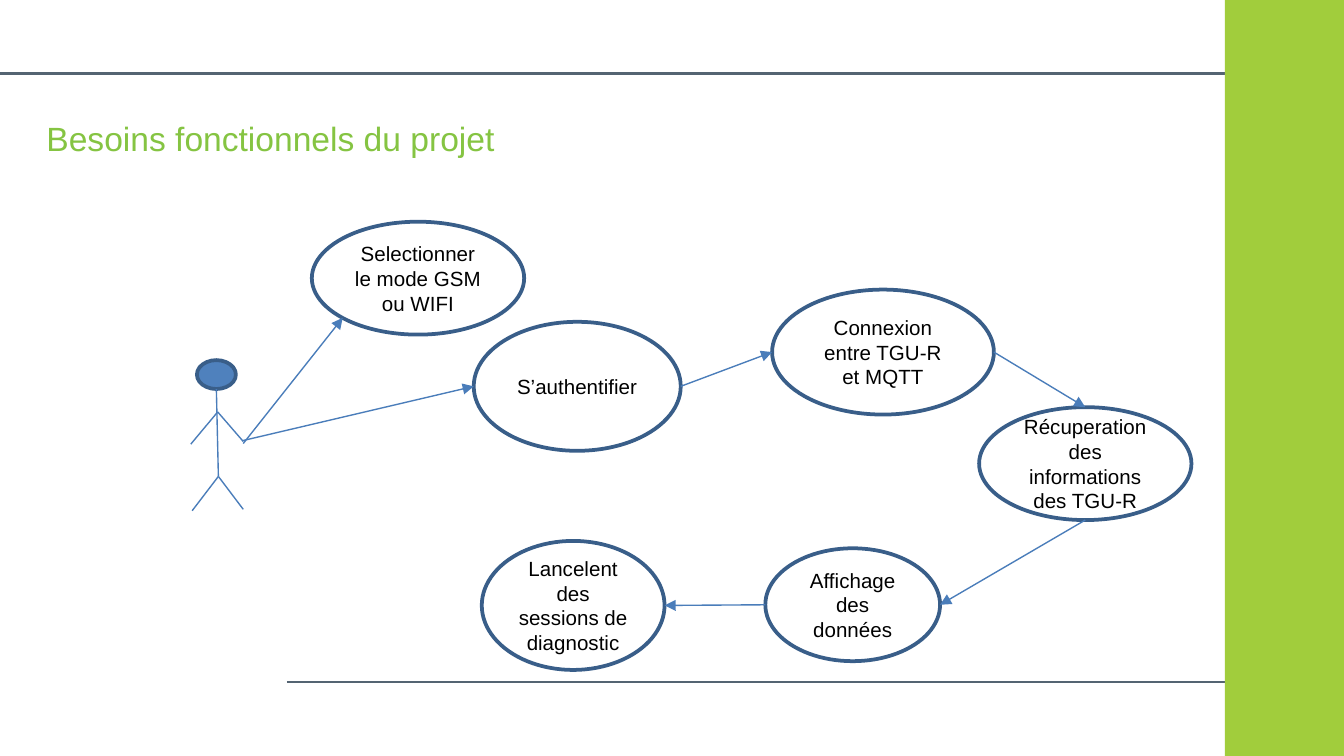
from dataclasses import dataclass
from math import sqrt
from typing import NamedTuple

from lxml.etree import SubElement
from pptx import Presentation
from pptx.dml.color import RGBColor
from pptx.enum.shapes import MSO_CONNECTOR as Connector
from pptx.enum.shapes import MSO_SHAPE as Preset
from pptx.enum.text import MSO_ANCHOR as Anchor
from pptx.enum.text import MSO_AUTO_SIZE as AutoSize
from pptx.enum.text import PP_ALIGN as Align
from pptx.oxml.ns import qn
from pptx.util import Pt

EMU_PER_PX = 4572  # 200 px to the inch
SLIDE_WIDTH, SLIDE_HEIGHT = 2000, 1125
BAND_LEFT = 1823


@dataclass(frozen=True)
class Theme:
    font: str = "Arial"
    title_size: float = 18
    label_size: float = 11
    rule_width: float = 1.5
    outline_width: float = 2
    arrow_width: float = 0.75
    title: str = "85C442"
    text: str = "000000"
    band: str = "A1CD3C"
    rule: str = "546472"
    outline: str = "395E89"
    arrow: str = "4A7DBA"
    head: str = "4F81BD"
    paper: str = "FFFFFF"


THEME = Theme()


class Point(NamedTuple):
    x: int
    y: int


@dataclass(frozen=True)
class UseCase:
    label: str
    left: int
    top: int
    width: int
    height: int
    inset: Point = Point(14, 8)

    def at(self, across: float, down: float) -> Point:
        """Point at -1..1 of the half axes from the centre."""
        return Point(
            round(self.left + self.width * (1 + across) / 2),
            round(self.top + self.height * (1 + down) / 2),
        )


def px(length: int) -> int:
    return length * EMU_PER_PX


def rgb(color: str) -> RGBColor:
    return RGBColor.from_string(color)


def write(shape, text: str, size: float, color: str, align: Align,
          anchor: Anchor, inset: Point) -> None:
    frame = shape.text_frame
    frame.word_wrap = True
    frame.auto_size = AutoSize.NONE
    frame.vertical_anchor = anchor
    frame.margin_left = frame.margin_right = px(inset.x)
    frame.margin_top = frame.margin_bottom = px(inset.y)
    paragraph = frame.paragraphs[0]
    paragraph.text = text
    paragraph.alignment = align
    paragraph.font.name = THEME.font
    paragraph.font.size = Pt(size)
    paragraph.font.color.rgb = rgb(color)


def draw_line(shapes, start: Point, end: Point, color: str = THEME.arrow,
              width: float = THEME.arrow_width, arrow: bool = False) -> None:
    connector = shapes.add_connector(
        Connector.STRAIGHT, *(px(value) for value in (*start, *end)))
    connector.line.color.rgb = rgb(color)
    connector.line.width = Pt(width)
    if arrow:
        SubElement(connector.line._get_or_add_ln(), qn("a:tailEnd"), type="triangle")
    SubElement(connector._element.spPr, qn("a:effectLst"))


def draw_shape(shapes, preset: Preset, left: int, top: int, width: int,
               height: int, fill: str, outline: str | None = None):
    shape = shapes.add_shape(preset, px(left), px(top), px(width), px(height))
    shape.shadow.inherit = False
    shape.fill.solid()
    shape.fill.fore_color.rgb = rgb(fill)
    if outline:
        shape.line.color.rgb = rgb(outline)
        shape.line.width = Pt(THEME.outline_width)
    else:
        shape.line.fill.background()
    return shape


def draw_use_case(shapes, case: UseCase) -> None:
    ellipse = draw_shape(shapes, Preset.OVAL, case.left, case.top, case.width,
                         case.height, THEME.paper, THEME.outline)
    write(ellipse, case.label, THEME.label_size, THEME.text, Align.CENTER,
          Anchor.MIDDLE, case.inset)


def draw_actor(shapes) -> None:
    actor = shapes.add_group_shape().shapes
    draw_shape(actor, Preset.OVAL, 293, 536, 58, 43, THEME.head, THEME.outline)
    neck, shoulder, hip = Point(322, 579), Point(324, 613), Point(325, 709)
    draw_line(actor, neck, hip)
    for joint, limb_ends in ((shoulder, (Point(284, 661), Point(362, 657))),
                             (hip, (Point(286, 760), Point(362, 758)))):
        for limb_end in limb_ends:
            draw_line(actor, joint, limb_end)


# Use cases
MODE = UseCase("Selectionner le mode GSM ou WIFI", 464, 330, 316, 168)
LOGIN = UseCase("S’authentifier", 705, 479, 308, 192)
CONNECTION = UseCase("Connexion entre TGU-R et MQTT", 1149, 431, 330, 186,
                     Point(20, 10))
RETRIEVAL = UseCase("Récuperation des informations des TGU-R", 1457, 606, 316, 168)
DISPLAY = UseCase("Affichage des données", 1139, 816, 260, 168)
DIAGNOSTIC = UseCase("Lancelent des sessions de diagnostic", 717, 805, 272, 192)
USE_CASES = (MODE, LOGIN, CONNECTION, RETRIEVAL, DISPLAY, DIAGNOSTIC)

# Arrows, from start to head
DIAGONAL = sqrt(0.5)
ARROWS = (
    (Point(362, 660), MODE.at(-DIAGONAL, DIAGONAL)),
    (Point(360, 656), LOGIN.at(-1, 0)),
    (LOGIN.at(1, 0), CONNECTION.at(-1, 0)),
    (CONNECTION.at(1, 0), RETRIEVAL.at(0, -1)),
    (RETRIEVAL.at(0, 1), DISPLAY.at(1, 0)),
    (DISPLAY.at(-1, 0), DIAGNOSTIC.at(1, 0)),
)


def main() -> None:
    presentation = Presentation()
    presentation.slide_width = px(SLIDE_WIDTH)
    presentation.slide_height = px(SLIDE_HEIGHT)
    slide = presentation.slides.add_slide(presentation.slide_layouts[5])
    shapes = slide.shapes

    # Rules and side band
    for start, end in ((Point(0, 109), Point(1872, 109)),
                       (Point(427, 1015), Point(1844, 1015))):
        draw_line(shapes, start, end, THEME.rule, THEME.rule_width)
    draw_shape(shapes, Preset.RECTANGLE, BAND_LEFT, 0, SLIDE_WIDTH - BAND_LEFT,
               SLIDE_HEIGHT, THEME.band)

    # Title
    title = shapes.title
    title.left, title.top, title.width, title.height = map(px, (55, 168, 1402, 86))
    write(title, "Besoins fonctionnels du projet", THEME.title_size, THEME.title,
          Align.LEFT, Anchor.TOP, Point(14, 8))

    # Diagram
    draw_actor(shapes)
    for case in USE_CASES:
        draw_use_case(shapes, case)
    for start, end in ARROWS:
        draw_line(shapes, start, end, arrow=True)

    presentation.save("out.pptx")


if __name__ == "__main__":
    main()
